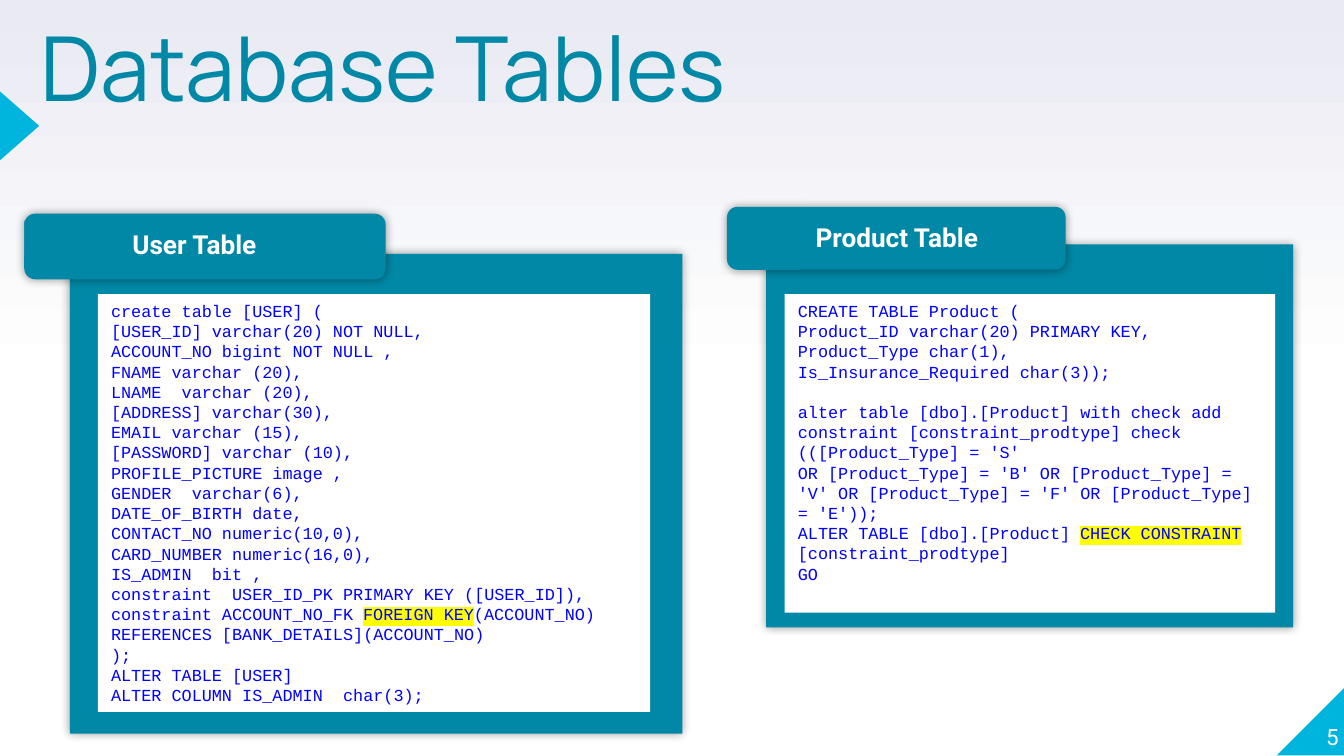
from dataclasses import dataclass
from lxml.etree import SubElement
from pptx import Presentation
from pptx.dml.color import RGBColor
from pptx.enum.shapes import MSO_SHAPE
from pptx.enum.text import MSO_ANCHOR, MSO_AUTO_SIZE, PP_ALIGN
from pptx.oxml.ns import qn
from pptx.util import Cm, Pt

HUES = {
    "teal": "0088A6",
    "cyan": "00B5DD",
    "white": "FFFFFF",
    "haze": "E9EAF2",
    "code": "0000FF",
    "mark": "FFFF00",
    "black": "000000",
}


@dataclass
class Box:
    left: float
    top: float
    width: float
    height: float

    def place(self) -> tuple:
        return Cm(self.left), Cm(self.top), Cm(self.width), Cm(self.height)


@dataclass
class Panel:
    name: str
    frame: Box
    tab: Box
    label: Box
    sheet: Box
    mark: str  # highlighted phrase
    code: str  # an empty line stands for a gap


PANELS = [
    Panel(
        "User Table",
        Box(1.32, 4.8, 11.58, 9.07),
        Box(0.46, 4.04, 6.83, 1.24),
        Box(0.46, 4.17, 6.43, 0.89),
        Box(1.85, 5.56, 10.44, 7.9),
        "FOREIGN KEY",
        """create table [USER] (
[USER_ID] varchar(20) NOT NULL,
ACCOUNT_NO bigint NOT NULL ,
FNAME varchar (20),
LNAME  varchar (20),
[ADDRESS] varchar(30),
EMAIL varchar (15),
[PASSWORD] varchar (10),
PROFILE_PICTURE image ,
GENDER  varchar(6),
DATE_OF_BIRTH date,
CONTACT_NO numeric(10,0),
CARD_NUMBER numeric(16,0),
IS_ADMIN  bit ,
constraint  USER_ID_PK PRIMARY KEY ([USER_ID]),
constraint ACCOUNT_NO_FK FOREIGN KEY(ACCOUNT_NO) REFERENCES [BANK_DETAILS](ACCOUNT_NO)
);
ALTER TABLE [USER]
ALTER COLUMN IS_ADMIN  char(3);""",
    ),
    Panel(
        "Product Table",
        Box(14.48, 4.62, 9.96, 7.24),
        Box(13.74, 3.91, 6.4, 1.19),
        Box(14.17, 4.06, 5.56, 0.86),
        Box(14.83, 5.56, 9.27, 6.02),
        "CHECK CONSTRAINT ",
        """CREATE TABLE Product (
Product_ID varchar(20) PRIMARY KEY,
Product_Type char(1),
Is_Insurance_Required char(3));

alter table [dbo].[Product] with check add constraint [constraint_prodtype] check (([Product_Type] = 'S'
OR [Product_Type] = 'B' OR [Product_Type] = 'V' OR [Product_Type] = 'F' OR [Product_Type] = 'E'));
ALTER TABLE [dbo].[Product] CHECK CONSTRAINT [constraint_prodtype]
GO""",
    ),
]


def hue(name: str) -> RGBColor:
    return RGBColor.from_string(HUES[name])


def style(para, face: str, size: float, color: str, bold: bool = False) -> None:
    para.font.name, para.font.size, para.font.bold = face, Pt(size), bold
    para.font.color.rgb = hue(color)


def trim(frame, anchor) -> None:
    """Take away the margins of a text frame and anchor its text."""
    frame.margin_left = frame.margin_right = frame.margin_top = frame.margin_bottom = 0
    frame.auto_size = MSO_AUTO_SIZE.NONE
    frame.word_wrap = True
    frame.vertical_anchor = anchor


def draw(shapes, kind, box: Box, color: str, turn: float = 0):
    shape = shapes.add_shape(kind, *box.place())
    shape.fill.solid()
    shape.fill.fore_color.rgb = hue(color)
    shape.line.fill.background()
    shape.shadow.inherit = False
    shape.rotation = turn
    return shape


def glow(shape) -> None:
    """Give a shape a soft shadow on all sides."""
    effects = shape._element.spPr.find(qn("a:effectLst"))
    shade = SubElement(effects, qn("a:outerShdw"), blurRad=str(Pt(5)), dist="0", dir="0")
    color = SubElement(shade, qn("a:srgbClr"), val=HUES["black"])
    SubElement(color, qn("a:alpha"), val="40000")


def shine(run) -> None:
    """Highlight a run."""
    light = SubElement(run.font._element, qn("a:highlight"))
    SubElement(light, qn("a:srgbClr"), val=HUES["mark"])


def write(frame, panel: Panel) -> None:
    frame.word_wrap = True
    frame.vertical_anchor = MSO_ANCHOR.TOP
    para, gap = frame.paragraphs[0], False
    for line in panel.code.split("\n"):
        if not line:
            gap = True
            continue
        if para.runs:
            para = frame.add_paragraph()
        style(para, "Courier New", 9, "code")
        para.alignment = PP_ALIGN.LEFT
        if gap:
            para.space_before = Pt(10.8)
            gap = False
        for part in filter(None, line.partition(panel.mark)):
            run = para.add_run()
            run.text = part
            if part == panel.mark:
                shine(run)


def build(slide, panel: Panel) -> None:
    shapes = slide.shapes.add_group_shape().shapes
    glow(draw(shapes, MSO_SHAPE.RECTANGLE, panel.frame, "teal"))
    glow(draw(shapes, MSO_SHAPE.ROUNDED_RECTANGLE, panel.tab, "teal"))
    label = draw(shapes, MSO_SHAPE.RECTANGLE, panel.label, "teal")
    label.text_frame.text = panel.name
    para = label.text_frame.paragraphs[0]
    style(para, "Roboto", 14, "white", True)
    para.alignment = PP_ALIGN.CENTER
    write(draw(shapes, MSO_SHAPE.RECTANGLE, panel.sheet, "white").text_frame, panel)


def main() -> None:
    deck = Presentation()
    deck.slide_width, deck.slide_height = Cm(25.4), Cm(14.29)
    slide = deck.slides.add_slide(deck.slide_layouts[5])

    # Background: white below, haze towards the top
    fill = slide.background.fill
    fill.gradient()
    fill.gradient_angle = 90
    for stop, place, color in zip(fill.gradient_stops, (0.5, 1), ("white", "haze")):
        stop.position = place
        stop.color.rgb = hue(color)

    # Corner and edge triangles
    draw(slide.shapes, MSO_SHAPE.RIGHT_TRIANGLE, Box(24.13, 12.98, 1.3, 1.3), "cyan", 270)
    draw(slide.shapes, MSO_SHAPE.ISOSCELES_TRIANGLE, Box(-0.28, 2.01, 1.3, 0.74), "cyan", 90)

    # Title
    title = slide.shapes.title
    title.left, title.top, title.width, title.height = Box(0.76, 0.61, 13.92, 1.57).place()
    title.text_frame.text = "Database Tables"
    trim(title.text_frame, MSO_ANCHOR.TOP)
    para = title.text_frame.paragraphs[0]
    style(para, "Manrope", 48, "teal")
    para.alignment = PP_ALIGN.LEFT
    para.line_spacing = 0.8

    # Page number
    page = slide.shapes.add_textbox(*Box(24.03, 12.88, 1.27, 1.3).place())
    page.text_frame.text = "5"
    trim(page.text_frame, MSO_ANCHOR.BOTTOM)
    para = page.text_frame.paragraphs[0]
    style(para, "Roboto", 12, "white")
    para.alignment = PP_ALIGN.RIGHT

    # Table panels
    for panel in PANELS:
        build(slide, panel)

    deck.save("out.pptx")


if __name__ == "__main__":
    main()
